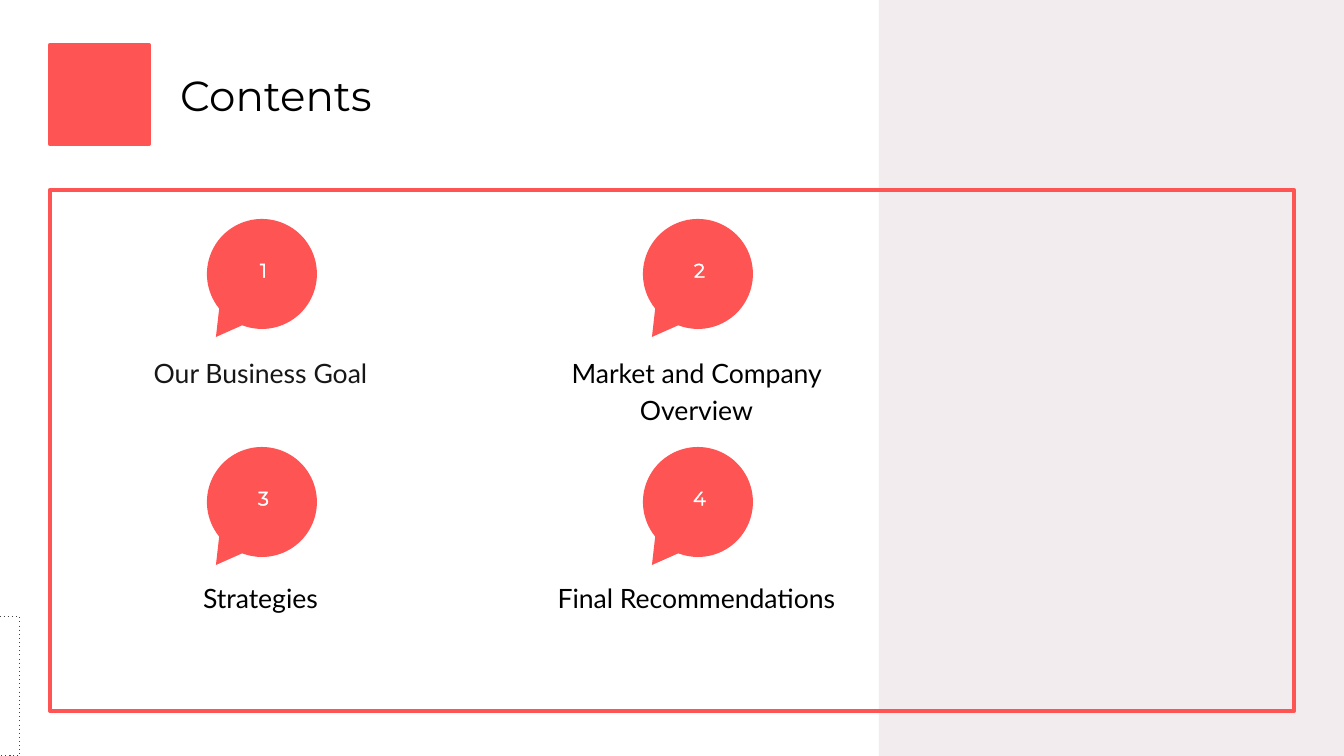
from dataclasses import dataclass
from math import cos, radians, sin

from lxml import etree
from pptx import Presentation
from pptx import util as u
from pptx.dml.color import RGBColor
from pptx.enum import shapes, text
from pptx.oxml import ns

TITLE = "Contents"
TOPICS = [
    ("Our Business Goal", "171717"),
    ("Market and Company Overview", "000000"),
    ("Strategies", "000000"),
    ("Final Recommendations", "000000"),
]


@dataclass(frozen=True)
class Theme:
    coral: str = "FF5454"
    panel: str = "F3ECEF"
    white: str = "FFFFFF"
    black: str = "000000"
    dots: str = "434343"
    head: str = "Montserrat"
    body: str = "Lato"
    title: int = 30
    topic: int = 19
    number: int = 14


T = Theme()
WIDE, HIGH = 1344, 756
COLS = 2
STEP_X, BUBBLE_Y, TOPIC_Y = 436, 228, 225
CENTER, RADIUS = (262, 274), 55
TAIL = (-46, 63)
STOPS = [141, 180, 270, 360, 471]
INSET = 13


def px(n):
    return u.Emu(round(n * 914400 / 100.8))


def rgb(code):
    return RGBColor.from_string(code)


def style(para, face, size, color, align):
    para.alignment = align
    font = para.font
    font.name, font.size, font.bold = face, u.Pt(size), False
    font.color.rgb = rgb(color)


def box(slide, area, fill=None, line=None, width=3):
    rect = slide.shapes.add_shape(shapes.MSO_SHAPE.RECTANGLE, *map(px, area))
    rect.shadow.inherit = False
    if fill:
        rect.fill.solid()
        rect.fill.fore_color.rgb = rgb(fill)
    else:
        rect.fill.background()
    if line:
        rect.line.color.rgb = rgb(line)
        rect.line.width = u.Pt(width)
    else:
        rect.line.fill.background()
    return rect


def bubble(slide, x, y):
    """Draw a round speech bubble centred at x, y with its tail at lower left."""
    rim = [(x + RADIUS * cos(radians(a)), y + RADIUS * sin(radians(a)))
           for a in STOPS]
    points = [(px(a), px(b)) for a, b in rim + [(x + TAIL[0], y + TAIL[1])]]
    pen = slide.shapes.build_freeform(*points[0])
    pen.add_line_segments(points[1:], close=True)
    shape = pen.convert_to_shape()
    sides = list(shape._element.iter(ns.qn("a:lnTo")))
    for side, start, end in zip(sides, STOPS, STOPS[1:]):
        arc = etree.Element(ns.qn("a:arcTo"), {
            "wR": str(px(RADIUS)), "hR": str(px(RADIUS)),
            "stAng": str(start % 360 * 60000),
            "swAng": str((end - start) * 60000)})
        side.getparent().replace(side, arc)
    shape.shadow.inherit = False
    shape.fill.solid()
    shape.fill.fore_color.rgb = rgb(T.coral)
    shape.line.fill.background()


def number(slide, x, y, value):
    label = slide.shapes.add_textbox(px(x - 20), px(y - 21), px(43), px(41))
    label.text_frame.word_wrap = True
    para = label.text_frame.paragraphs[0]
    para.text = str(value)
    style(para, T.head, T.number, T.white, text.PP_ALIGN.CENTER)
    line = etree.Element(ns.qn("a:ln"), w=str(u.Pt(0.75)))
    fill = etree.SubElement(line, ns.qn("a:solidFill"))
    etree.SubElement(fill, ns.qn("a:srgbClr"), val=T.white)
    para.runs[0]._r.get_or_add_rPr().insert(0, line)


def place(slide, holder, area, words, anchor):
    """Move a placeholder to the front, fill it and return its paragraph."""
    slide.shapes._spTree.append(holder._element)
    holder.left, holder.top, holder.width, holder.height = map(px, area)
    frame = holder.text_frame
    frame.word_wrap = True
    frame.auto_size = text.MSO_AUTO_SIZE.NONE
    frame.vertical_anchor = anchor
    frame.margin_left = frame.margin_right = px(INSET)
    frame.margin_top = frame.margin_bottom = px(INSET)
    frame.text = words
    return frame.paragraphs[0]


def topic(slide, holder, area, words, color):
    para = place(slide, holder, area, words, text.MSO_ANCHOR.TOP)
    para.line_spacing = 1.15
    para.space_before, para.space_after = u.Pt(0), u.Pt(21)
    props = para._p.get_or_add_pPr()
    props.set("marL", "0")
    props.set("indent", "0")
    etree.SubElement(props, ns.qn("a:buNone"))
    style(para, T.body, T.topic, color, text.PP_ALIGN.CENTER)


def main():
    deck = Presentation()
    deck.slide_width, deck.slide_height = px(WIDE), px(HIGH)
    slide = deck.slides.add_slide(deck.slide_layouts.get_by_name("Comparison"))
    keep = {h.placeholder_format.idx: h for h in slide.placeholders}

    box(slide, (879, 0, 465, HIGH), fill=T.panel)
    box(slide, (50, 190, 1244, 521), line=T.coral)
    box(slide, (50, 45, 99, 99), fill=T.coral, line=T.coral)

    for i, (words, color) in enumerate(TOPICS):
        row, col = divmod(i, COLS)
        x, y = CENTER[0] + col * STEP_X, CENTER[1] + row * BUBBLE_Y
        bubble(slide, x, y)
        area = (79 + col * STEP_X, 339 + row * TOPIC_Y, 363, 146)
        topic(slide, keep[i + 1], area, words, color)
        number(slide, x, y, i + 1)

    head = place(slide, slide.shapes.title, (167, 45, 1132, 99), TITLE,
                 text.MSO_ANCHOR.MIDDLE)
    style(head, T.head, T.title, T.black, text.PP_ALIGN.LEFT)

    tab = box(slide, (0, 617, 20, 139), T.white, T.dots, 0.75)
    line = tab.line._get_or_add_ln()
    etree.SubElement(line, ns.qn("a:prstDash"), val="dot")
    deck.save("out.pptx")


if __name__ == "__main__":
    main()
